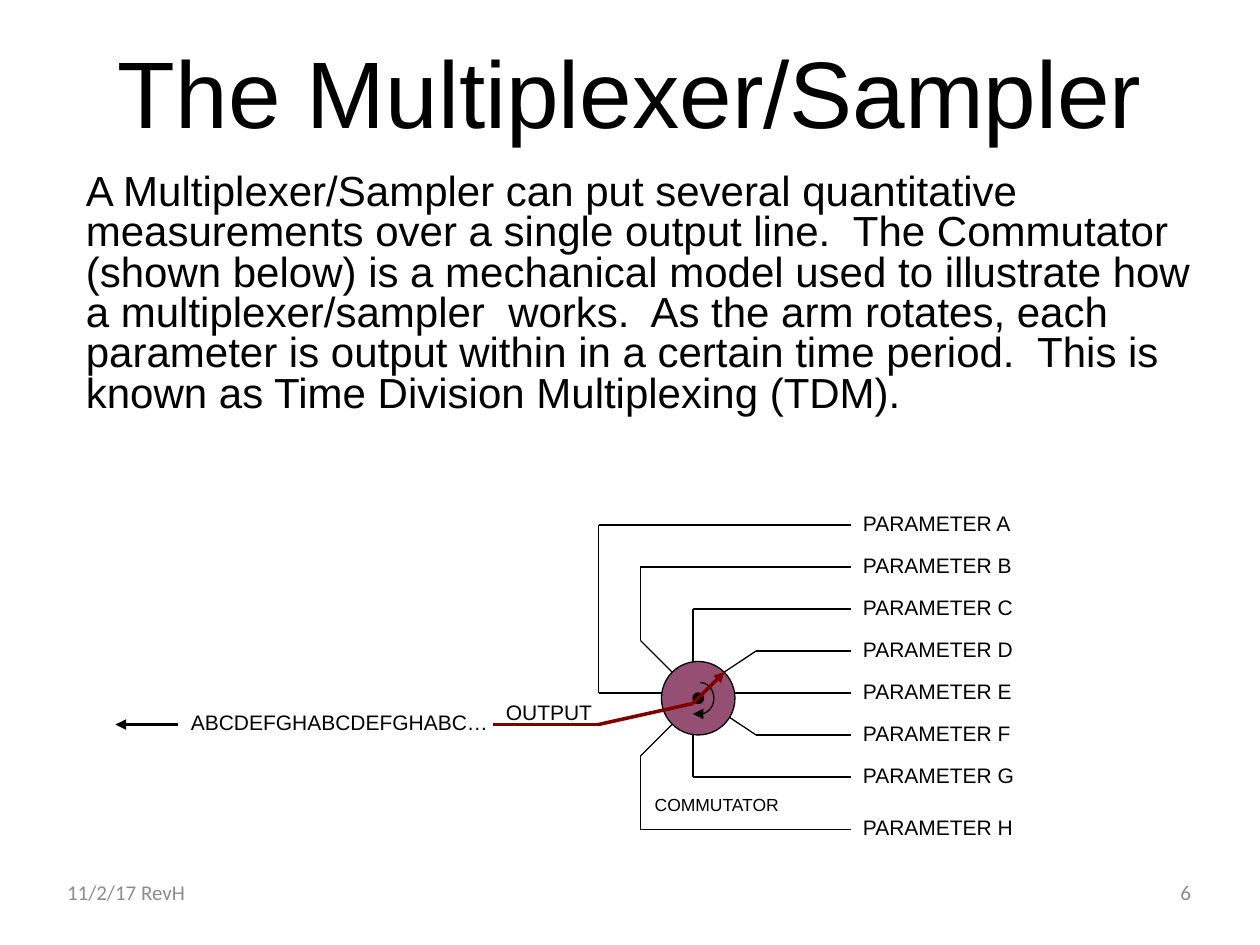
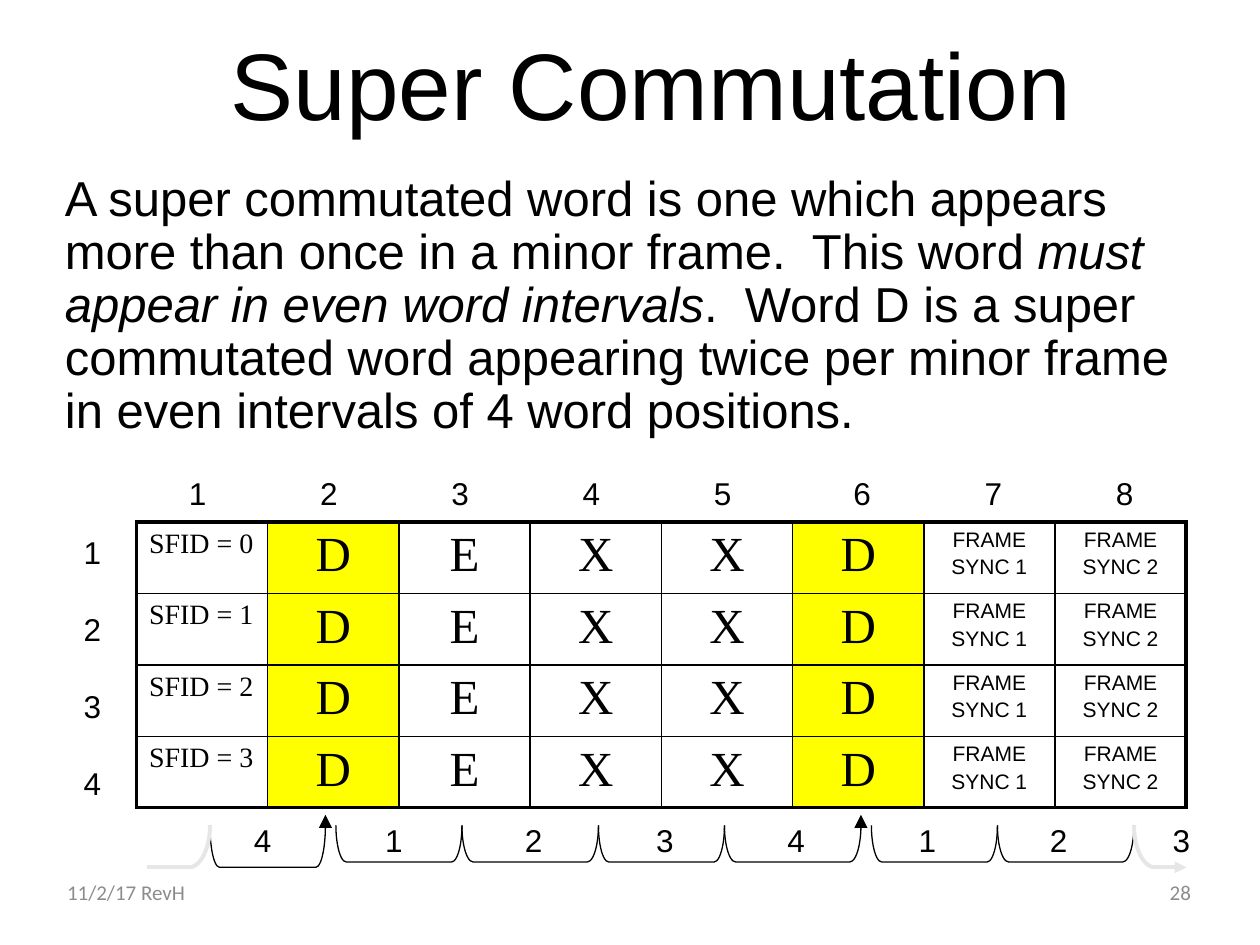
from itertools import accumulate, pairwise

from lxml import etree
from pptx import Presentation
from pptx import util as u
from pptx.dml.color import RGBColor
from pptx.enum import shapes, text
from pptx.oxml.ns import qn

PX = 7620  # EMU per px: 120 px to the inch
COLORS = {"ink": "000000", "footer": "8C8C8C", "rotor": "954F72",
          "arm": "800000", "word": "FFFF00", "faint": "E7E6E6"}
REVISION = "11/2/17 RevH"


def px(length):
    return u.Emu(round(length * PX))


def rgb(name):
    return RGBColor.from_string(COLORS[name])


def add_xml(parent, tag, **attributes):
    return etree.SubElement(parent, qn(tag), attributes)


class Deck:
    def __init__(self):
        self.prs = Presentation()
        self.prs.slide_width, self.prs.slide_height = px(1200), px(900)
        self.slide = None

    def new_slide(self, title, box, number):
        self.slide = self.prs.slides.add_slide(self.prs.slide_layouts[5])
        heading = self.slide.shapes.title
        heading.left, heading.top, heading.width, heading.height = map(px, box)
        frame = heading.text_frame
        frame.text = title
        frame.auto_size = text.MSO_AUTO_SIZE.NONE
        frame.vertical_anchor = text.MSO_ANCHOR.BOTTOM
        frame.paragraphs[0].line_spacing = 0.9
        self.style(frame, 54, align=text.PP_ALIGN.CENTER)
        for left, words, align in ((52, REVISION, text.PP_ALIGN.LEFT),
                                   (876, str(number), text.PP_ALIGN.RIGHT)):
            footer = self.text(words, (left, 826, 270, 48), 12, align, wrap=True,
                               font="Calibri", color="footer")
            footer.vertical_anchor = text.MSO_ANCHOR.MIDDLE

    def style(self, frame, size, font="Arial", color="ink", align=None):
        for paragraph in frame.paragraphs:
            paragraph.alignment = align
            for run in paragraph.runs:
                run.font.size = u.Pt(size)
                run.font.name = font
                run.font.color.rgb = rgb(color)

    def text(self, words, box, size, align=None, wrap=False, **look):
        frame = self.slide.shapes.add_textbox(*map(px, box)).text_frame
        frame.word_wrap = wrap
        frame.text = words
        self.style(frame, size, align=align, **look)
        return frame

    def body(self, parts, box, size, spacing):
        """Add one paragraph whose odd parts are in italics."""
        frame = self.text("", box, size, wrap=True)
        paragraph = frame.paragraphs[0]
        paragraph.line_spacing, paragraph.space_before = spacing, u.Pt(10)
        for index, part in enumerate(parts):
            run = paragraph.add_run()
            run.text = part
            run.font.italic = index % 2 == 1
        self.style(frame, size)

    def tabbed(self, words, box, gaps):
        """Set words apart by tab stops at the given gaps."""
        frame = self.text("\t".join(words), box, 18, wrap=True)
        stops = add_xml(frame.paragraphs[0]._p.get_or_add_pPr(), "a:tabLst")
        for stop in accumulate(gaps):
            add_xml(stops, "a:tab", pos=str(px(stop)), algn="l")

    def route(self, points, color="ink", width=0.75, arrow=False):
        """Join the points by straight lines; the arrowhead is at the end."""
        for start, end in pairwise(points):
            line = self.slide.shapes.add_connector(
                shapes.MSO_CONNECTOR.STRAIGHT, *map(px, start + end))
            line.line.color.rgb = rgb(color)
            line.line.width = u.Pt(width)
            properties = line._element.spPr
            add_xml(properties, "a:effectLst")
            if arrow and end == points[-1]:
                add_xml(properties.find(qn("a:ln")), "a:tailEnd", type="triangle")

    def shape(self, kind, box, fill=None, line="ink", width=0.75):
        item = self.slide.shapes.add_shape(kind, *map(px, box))
        item.shadow.inherit = False
        if fill:
            item.fill.solid()
            item.fill.fore_color.rgb = rgb(fill)
        else:
            item.fill.background()
        item.line.color.rgb = rgb(line)
        item.line.width = u.Pt(width)
        return item

    def arc(self, center, radii, start, end, **look):
        """Draw part of an ellipse, clockwise between two angles in degrees."""
        (x, y), (rx, ry) = center, radii
        curve = self.shape(shapes.MSO_SHAPE.ARC, (x - rx, y - ry, 2 * rx, 2 * ry), **look)
        for index, angle in enumerate((start, end)):
            curve.adjustments[index] = angle * 0.6

    def bracket(self, left, right, top, depth):
        """Draw a bracket that opens upwards."""
        span = right - left
        box = ((left + right - depth) / 2, top + (depth - span) / 2, depth, span)
        item = self.shape(shapes.MSO_SHAPE.LEFT_BRACKET, box)
        item.rotation = 270
        item.adjustments[0] = span / 12 / depth

    def table(self, rows, box, column_looks):
        """Add a table; a column look is (size, font, alignment, fill)."""
        row_count, column_count = len(rows), len(rows[0])
        grid = self.slide.shapes.add_table(row_count, column_count, *map(px, box)).table
        grid.first_row = grid.horz_banding = False
        for r, row in enumerate(rows):
            for c, (words, look) in enumerate(zip(row, column_looks)):
                size, font, align, fill = look
                cell = grid.cell(r, c)
                cell.text_frame.text = words
                self.style(cell.text_frame, size, font, align=align)
                for paragraph in cell.text_frame.paragraphs[1:]:
                    paragraph.space_before = u.Pt(size * 0.2)
                self.borders(cell, L=c == 0, R=c == column_count - 1,
                             T=r == 0, B=r == row_count - 1)
                if fill:
                    cell.fill.solid()
                    cell.fill.fore_color.rgb = rgb(fill)
                else:
                    cell.fill.background()

    def borders(self, cell, **outer):
        properties = cell._tc.get_or_add_tcPr()
        for side, is_outer in outer.items():
            edge = add_xml(properties, f"a:ln{side}", w=str(u.Pt(2.25 if is_outer else 1)))
            add_xml(add_xml(edge, "a:solidFill"), "a:srgbClr", val=COLORS["ink"])


def multiplexer(deck):
    deck.new_slide("The Multiplexer/Sampler", (90, 58, 1020, 90), 6)
    deck.body(["A Multiplexer/Sampler can put several quantitative measurements over a "
               "single output line.  The Commutator (shown below) is a mechanical model "
               "used to illustrate how a multiplexer/sampler  works.  As the arm rotates, "
               "each parameter is output within in a certain time period.  This is known "
               "as Time Division Multiplexing (TDM)."], (70, 160, 1090, 260), 24, 0.8)

    wires = {  # height of the label end, then the points on the way to the rotor
        "A": (500, (570, 500), (570, 660), (630, 660)),
        "B": (540, (610, 540), (610, 610), (640, 640)),
        "C": (580, (660, 580), (660, 630)),
        "D": (620, (720, 620), (690, 640)),
        "E": (660, (700, 660)),
        "F": (700, (720, 700), (690, 680)),
        "G": (740, (660, 740), (660, 700)),
        "H": (790, (610, 790), (610, 720), (640, 690)),
    }
    for letter, (y, *bends) in wires.items():
        deck.route([(810, y), *bends])
        deck.text(f"PARAMETER {letter}", (810, y - 20, 168, 36), 12)

    deck.shape(shapes.MSO_SHAPE.OVAL, (630, 630, 70, 70), "rotor")
    deck.shape(shapes.MSO_SHAPE.OVAL, (660, 660, 10, 10), "ink")
    deck.route([(660, 670), (570, 690), (470, 690)], "arm", 2)
    deck.arc((667, 665), (13, 15), 270, 90)
    deck.route([(667, 680), (660, 680)], arrow=True)
    deck.route([(660, 670), (690, 640)], "arm", 2, arrow=True)

    deck.text("OUTPUT", (470, 660, 107, 36), 12)
    deck.text("ABCDEFGHABCDEFGHABC…", (170, 670, 307, 36), 12)
    deck.route([(170, 690), (110, 690)], width=2, arrow=True)
    deck.text("COMMUTATOR", (610, 750, 145, 32), 10, text.PP_ALIGN.CENTER)


def super_commutation(deck):
    deck.new_slide("Super Commutation", (110, 30, 1020, 110), 28)
    deck.body(["A super commutated word is one which appears more than once in a minor "
               "frame.  This word ", "must appear in even word intervals",
               ".  Word D is a super commutated word appearing twice per minor frame in "
               "even intervals of 4 word positions."], (50, 160, 1120, 290), 28, 0.9)

    deck.tabbed("12345678", (168, 446, 932, 48), [125] * 4 + [133] + [125] * 2)
    row_numbers = deck.text("1\n2\n3\n4", (68, 502, 41, 264), 18)
    for paragraph in row_numbers.paragraphs[1:]:
        paragraph.space_before = u.Pt(22.3)

    center = text.PP_ALIGN.CENTER
    serif = "Times New Roman"
    plain = (28, serif, center, None)
    marked = (28, serif, center, "word")
    sync = (12, "Arial", center, None)
    looks = [(16, serif, None, None), marked, *[plain] * 3, marked, sync, sync]
    frames = [[f"SFID = {n}", *"DEXXD", "FRAME\nSYNC 1", "FRAME\nSYNC 2"]
              for n in range(4)]
    deck.table(frames, (130, 497, 1000, 272), looks)

    top, low = 786, 826
    deck.bracket(200, 310, top, 40)
    for edges in ((320, 440, 570, 690, 820), (830, 950, 1080)):
        for left, right in pairwise(edges):
            deck.bracket(left, right, top, 35)
    for x in (310, 820):
        deck.route([(x, top), (x, top - 10)], width=2.5, arrow=True)
    deck.tabbed("41234123", (230, 776, 916, 48), [125, 133] + [125] * 4 + [117])

    deck.arc((1100, top), (20, 40), 90, 180, line="faint", width=2.25)
    deck.route([(1100, low), (1130, low)], "faint", 2.25, arrow=True)
    deck.arc((180, top), (20, 40), 0, 90, line="faint", width=2.25)
    deck.route([(180, low), (140, low)], "faint", 2.25)


def main():
    deck = Deck()
    multiplexer(deck)
    super_commutation(deck)
    deck.prs.save("out.pptx")


if __name__ == "__main__":
    main()
